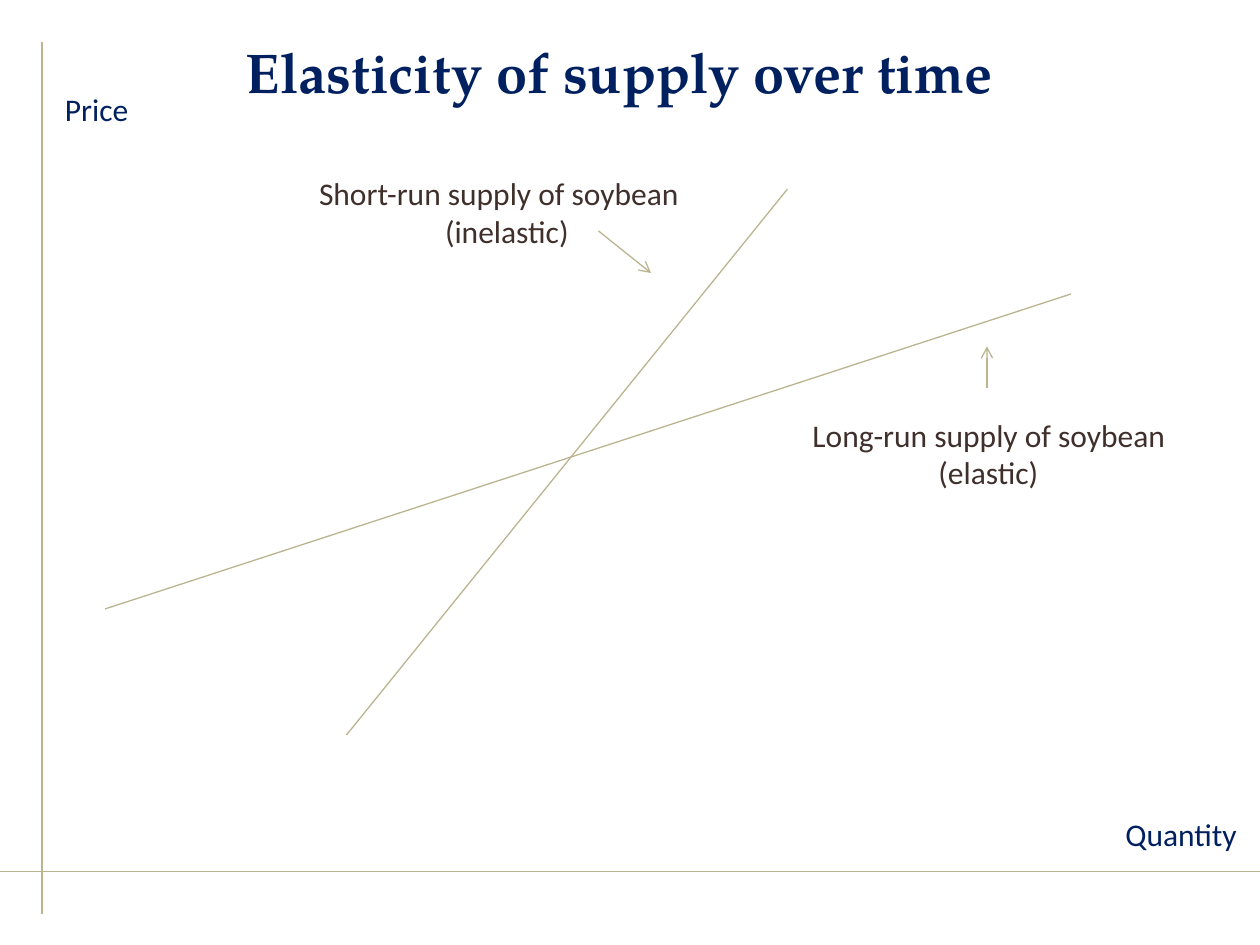
from lxml.etree import SubElement
from pptx import Presentation
from pptx.dml.color import RGBColor
from pptx.enum.shapes import MSO_CONNECTOR
from pptx.enum.text import MSO_ANCHOR, MSO_AUTO_SIZE, PP_ALIGN
from pptx.oxml.ns import qn
from pptx.util import Inches, Pt

NAVY = RGBColor(0x00, 0x20, 0x60)
BROWN = RGBColor(0x40, 0x30, 0x2B)
SAND = RGBColor(0xBB, 0xB4, 0x90)

prs = Presentation()
prs.slide_width, prs.slide_height = Inches(10), Inches(7.5)
slide = prs.slides.add_slide(prs.slide_layouts[5])

# Square grid: 120 columns by 90 rows
CELL = prs.slide_width / 120


def grid(*cells):
    return [round(n * CELL) for n in cells]


def style(paragraph, font_name, size, color, bold=False):
    for run in paragraph.runs:
        run.font.name = font_name
        run.font.size = Pt(size)
        run.font.bold = bold
        run.font.color.rgb = color


# Title
title = slide.shapes.title
title.left, title.top, title.width, title.height = grid(19, 3.6, 80, 6.4)
heading = title.text_frame
heading.text = "Elasticity of supply over time"
heading.margin_left = heading.margin_right = 0
heading.margin_top = heading.margin_bottom = 0
heading.vertical_anchor = MSO_ANCHOR.MIDDLE
heading.auto_size = MSO_AUTO_SIZE.NONE
heading.paragraphs[0].alignment = PP_ALIGN.CENTER
style(heading.paragraphs[0], "TeX Gyre Pagella", 32, NAVY, bold=True)

# Axes, supply curves and pointers: start, end, arrowhead
lines = [
    ((4, 4), (4, 87), False),       # price axis
    ((0, 83), (120, 83), False),    # quantity axis
    ((10, 58), (102, 28), False),   # long-run supply
    ((75, 18), (33, 70), False),    # short-run supply
    ((94, 37), (94, 33), True),     # pointer to long-run
    ((57, 22), (62, 26), True),     # pointer to short-run
]
for start, end, has_arrow in lines:
    line = slide.shapes.add_connector(MSO_CONNECTOR.STRAIGHT, *grid(*start, *end))
    line.line.color.rgb = SAND
    line.line.width = Pt(0.75)
    if has_arrow:
        SubElement(line.line._get_or_add_ln(), qn("a:tailEnd"), type="arrow")
    SubElement(line._element.spPr, qn("a:effectLst"))

# Axis and curve labels; the second line of a curve label is tabbed in by 1 inch
labels = [
    ("Quantity", (106, 77, 13.2, 4.8), NAVY),
    ("Price", (5, 8, 8.8, 4.8), NAVY),
    ("Short-run supply of soybean\n\t(inelastic)", (29.2, 16, 36.8, 8.4), BROWN),
    ("Long-run supply of soybean\n\t(elastic)", (76.2, 39, 36.2, 8.4), BROWN),
]
for text, box, color in labels:
    label = slide.shapes.add_textbox(*grid(*box)).text_frame
    label.text = text
    label.word_wrap = False
    label.auto_size = MSO_AUTO_SIZE.SHAPE_TO_FIT_TEXT
    for paragraph in label.paragraphs:
        style(paragraph, "Calibri", 18, color)
        tab_stops = SubElement(paragraph._p.get_or_add_pPr(), qn("a:tabLst"))
        SubElement(tab_stops, qn("a:tab"), pos=str(Inches(1)), algn="l")

prs.save("out.pptx")
